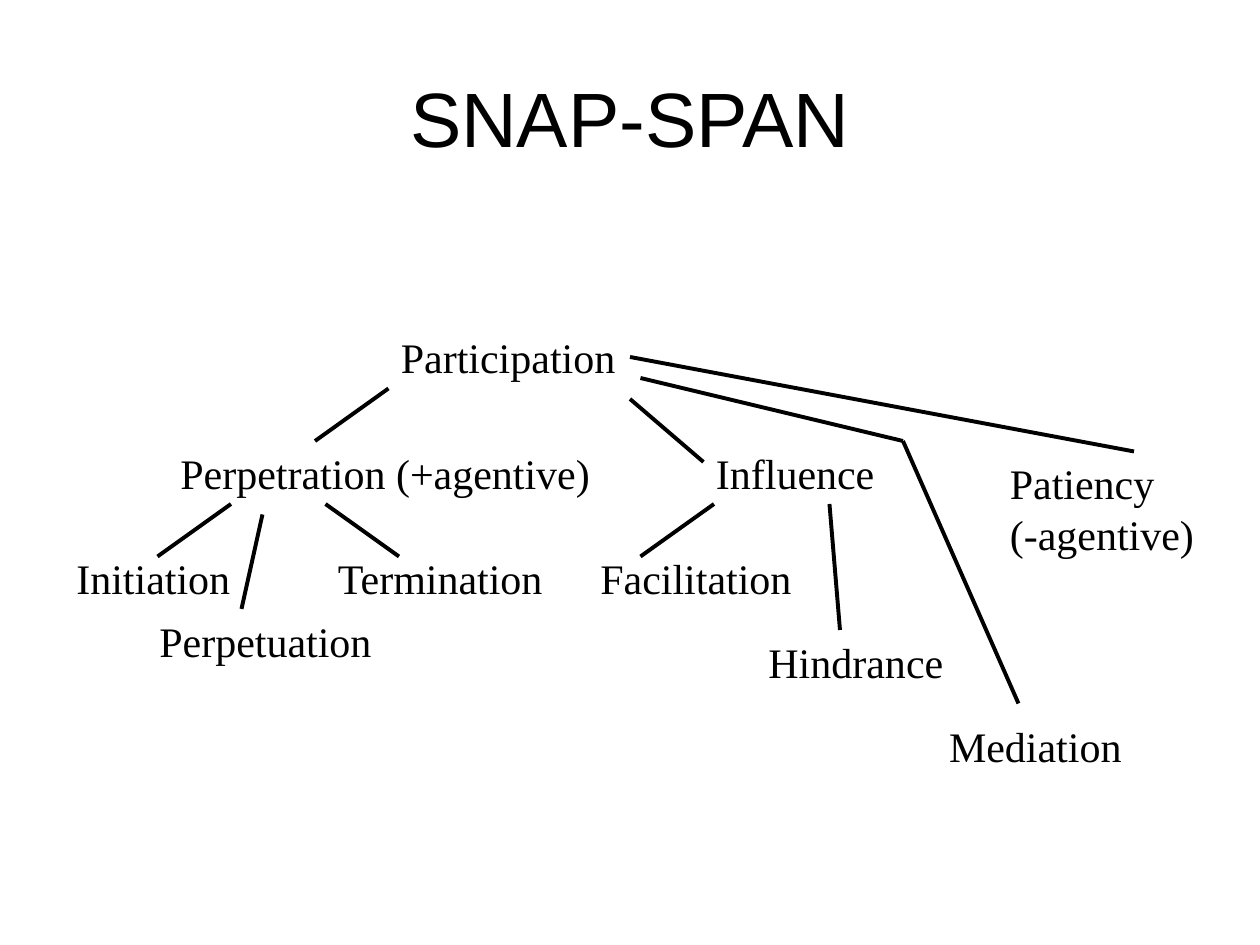
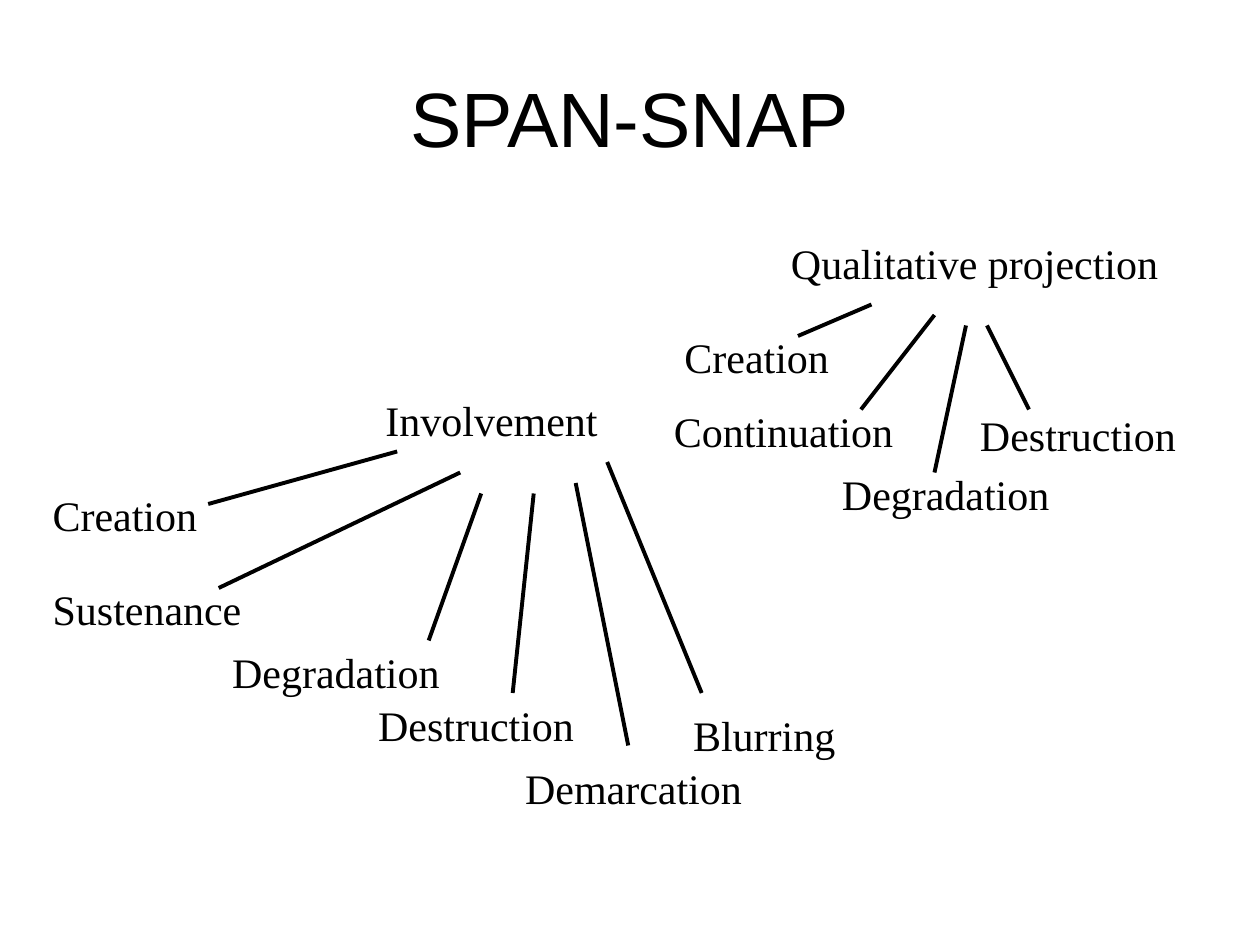
from itertools import pairwise

from lxml import etree
from pptx import Presentation
from pptx.dml.color import RGBColor
from pptx.enum.shapes import MSO_CONNECTOR
from pptx.enum.text import MSO_ANCHOR, MSO_AUTO_SIZE, PP_ALIGN
from pptx.oxml.ns import qn
from pptx.util import Inches, Pt

STRAIGHT = MSO_CONNECTOR.STRAIGHT
MIDDLE, TOP = MSO_ANCHOR.MIDDLE, MSO_ANCHOR.TOP
CENTER, LEFT = PP_ALIGN.CENTER, PP_ALIGN.LEFT
FIT_SHAPE, FIT_NONE = MSO_AUTO_SIZE.SHAPE_TO_FIT_TEXT, MSO_AUTO_SIZE.NONE

# The slide is a grid of 120 columns by 90 rows, with square cells
COLUMNS = 120
WIDTH, HEIGHT = Inches(10), Inches(7.5)
CELL = WIDTH / COLUMNS
INK = "000000"
TITLE_FONT, LABEL_FONT = "Arial", "Times New Roman"
TITLE_BOX = (6, 3.6, 108, 15)
LINE_ROWS = 6  # height of a one-line label
EXTRA_ROWS = 4.8  # height of each further line

# Each tree has its top left cell, its labels (text, column, row, width)
# and its branches (points from parent to child), counted from that cell
PARTICIPATION = {
    "origin": (6, 31),
    "labels": [
        ("Participation", 31, 0, 23),
        ("Perpetration (+agentive)", 10, 11, 41.6),
        ("Initiation", 0.1, 21, 17.3),
        ("Perpetuation", 8, 27, 22.8),
        ("Termination", 25, 21, 22.4),
        ("Influence", 61, 11, 17.7),
        ("Facilitation", 50, 21, 20.8),
        ("Hindrance", 66, 29, 19.3),
        ("Mediation", 83.2, 37, 19.1),
        ("Patiency\n(-agentive)", 89, 12, 20.2),
    ],
    "branches": [
        [(31, 6), (24, 11)],
        [(16, 17), (9, 22)],
        [(19, 18), (17, 27)],
        [(25, 17), (32, 22)],
        [(54, 7), (61, 13)],
        [(62, 17), (55, 22)],
        [(73, 17), (74, 29)],
        [(55, 5), (80, 11), (91, 36)],
        [(54, 3), (102, 12)],
    ],
}
INVOLVEMENT = {
    "origin": (3.83, 37),
    "labels": [
        ("Involvement", 31.7, 0, 22.8),
        ("Creation", 0, 9, 16.4),
        ("Sustenance", 0, 18, 20.6),
        ("Degradation", 17.1, 24, 22.4),
        ("Destruction", 31, 29, 21.3),
        ("Demarcation", 45, 35, 23.3),
        ("Blurring", 61, 30, 16.2),
    ],
    "branches": [
        [(34, 6), (16, 11)],
        [(40, 8), (17, 19)],
        [(42, 10), (37, 24)],
        [(47, 10), (45, 29)],
        [(51, 9), (56, 34)],
        [(54, 7), (63, 29)],
    ],
}
QUALITATIVE_PROJECTION = {
    "origin": (63, 22),
    "labels": [
        ("Qualitative projection", 11.15, 0, 37.6),
        ("Creation", 1, 9, 16.4),
        ("Continuation", 0, 16, 23.5),
        ("Degradation", 16, 22, 22.4),
        ("Destruction", 29.15, 16.4, 21.3),
    ],
    "branches": [
        [(20, 7), (13, 10)],
        [(26, 8), (19, 17)],
        [(29, 9), (26, 23)],
        [(31, 9), (35, 17)],
    ],
}


def cells(*counts):
    return [round(count * CELL) for count in counts]


def color(hex_string):
    return RGBColor.from_string(hex_string)


def add_text(page, text, area, font_name, size, align=LEFT, anchor=TOP, wrap=False):
    box = page.shapes.add_textbox(*cells(*area))
    frame = box.text_frame
    frame.text = text
    frame.word_wrap = wrap
    frame.auto_size = FIT_NONE if wrap else FIT_SHAPE
    frame.vertical_anchor = anchor
    for para in frame.paragraphs:
        para.alignment = align
        para.font.name = font_name
        para.font.size = Pt(size)
        para.font.color.rgb = color(INK)


def add_line(page, start, end):
    line = page.shapes.add_connector(STRAIGHT, *cells(*start, *end))
    line.line.color.rgb = color(INK)
    line.line.width = Pt(2.25)
    etree.SubElement(line._element.spPr, qn("a:effectLst"))


def add_tree(page, origin, labels, branches):
    left, top = origin
    # Branches
    for branch in branches:
        points = [(left + column, top + row) for column, row in branch]
        for start, end in pairwise(points):
            add_line(page, start, end)
    # Labels
    for text, column, row, width in labels:
        height = LINE_ROWS + EXTRA_ROWS * text.count("\n")
        add_text(page, text, (left + column, top + row, width, height), LABEL_FONT, 24)


def add_tree_page(deck, title, trees):
    page = deck.slides.add_slide(deck.slide_layouts[6])
    add_text(page, title, TITLE_BOX, TITLE_FONT, 44, CENTER, MIDDLE, wrap=True)
    for tree in trees:
        add_tree(page, **tree)


def main():
    deck = Presentation()
    deck.slide_width, deck.slide_height = WIDTH, HEIGHT
    add_tree_page(deck, "SNAP-SPAN", [PARTICIPATION])
    add_tree_page(deck, "SPAN-SNAP", [INVOLVEMENT, QUALITATIVE_PROJECTION])
    deck.save("out.pptx")


if __name__ == "__main__":
    main()
